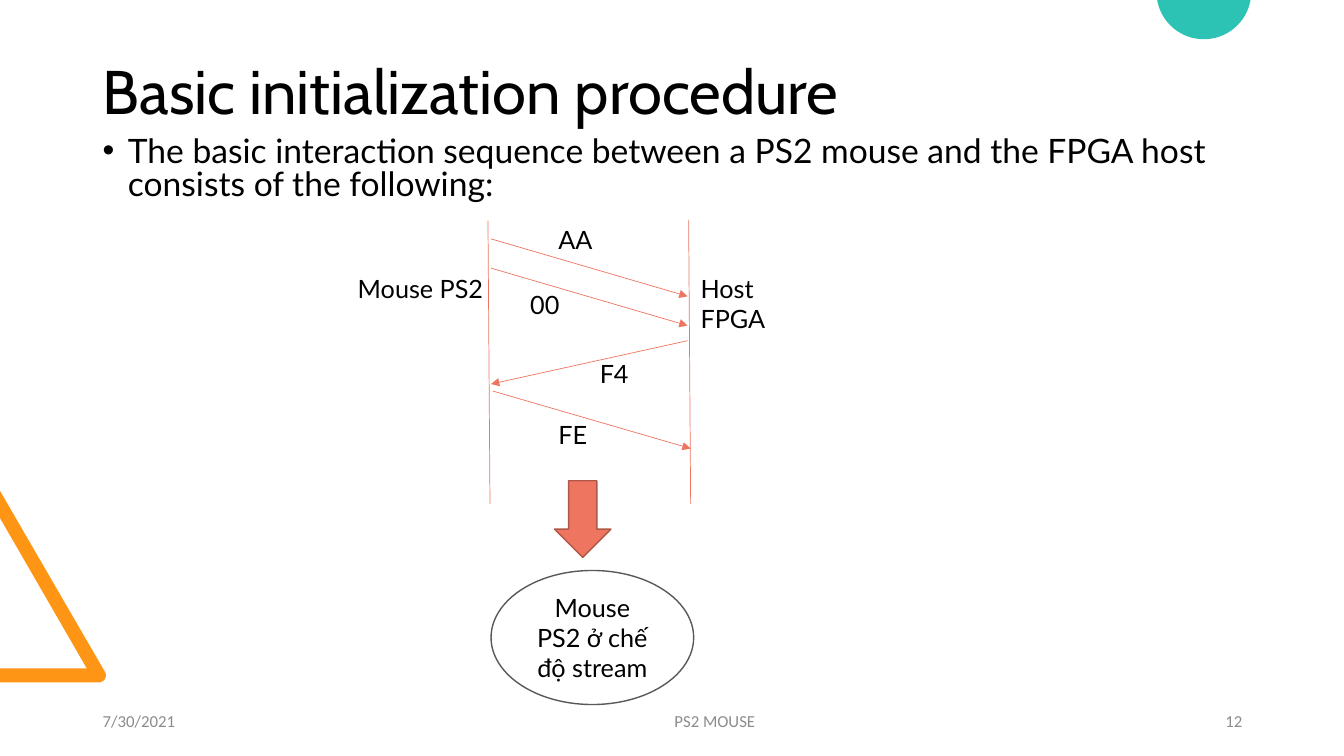
from math import cos, radians, sin

from lxml.etree import SubElement
from pptx import Presentation
from pptx.dml.color import RGBColor
from pptx.enum.shapes import MSO_CONNECTOR, MSO_SHAPE
from pptx.enum.text import MSO_ANCHOR, PP_ALIGN
from pptx.oxml.ns import qn
from pptx.util import Inches, Pt

CORAL, ORANGE, TEAL = "EE7661", "FF9514", "2CC3B4"
BLACK, GRAY, WHITE = "000000", "8C8C8C", "FFFFFF"

TITLE = "Basic initialization procedure"
INTRO = ("The basic interaction sequence between a PS2 mouse and the FPGA host "
         "consists of the following:")
RESULT = "Mouse PS2 ở chế độ stream"

# text, (left, top, width, height), alignment
FOOTERS = [
    ("7/30/2021", (0.92, 6.95, 3, 0.4), PP_ALIGN.LEFT),
    ("PS2 MOUSE", (4.84, 6.95, 4.5, 0.4), PP_ALIGN.CENTER),
    ("12", (9.42, 6.95, 3, 0.4), PP_ALIGN.RIGHT),
]
# text, left, top, width
LABELS = [
    ("Mouse PS2", 3.45, 2.66, 2.57),
    ("Host FPGA", 6.85, 2.66, 1.38),
    ("AA", 5.44, 2.18, 1.16),
    ("00", 5.16, 2.82, 0.59),
    ("F4", 5.85, 3.51, 2.41),
    ("FE", 5.44, 4.11, 2.2),
]
# start, end
LIFELINES = [((4.84, 2.19), (4.86, 5)), ((6.83, 2.18), (6.85, 5))]
MESSAGES = [
    ((4.87, 2.37), (6.82, 2.94)),
    ((4.87, 2.66), (6.82, 3.23)),
    ((6.82, 3.38), (4.87, 3.81)),
    ((4.89, 3.88), (6.85, 4.45)),
]


def rgb(color):
    return RGBColor.from_string(color)


def write(sp, text, size=18, font="Lato", color=BLACK, align=PP_ALIGN.LEFT,
          anchor=MSO_ANCHOR.TOP, spacing=None):
    tf = sp.text_frame
    tf.word_wrap = True
    tf.vertical_anchor = anchor
    p = tf.paragraphs[0]
    p.alignment = align
    if spacing:
        p.line_spacing = spacing
    r = p.add_run()
    r.text = text
    r.font.size = Pt(size)
    r.font.name = font
    r.font.color.rgb = rgb(color)
    return p


def add_text(s, box, text, **style):
    return write(s.shapes.add_textbox(*map(Inches, box)), text, **style)


def add_bullet(p, indent):
    p_pr = p._p.get_or_add_pPr()
    p_pr.set("marL", str(Inches(indent)))
    p_pr.set("indent", str(-Inches(indent)))
    SubElement(p_pr, qn("a:buFont"), typeface="Arial")
    SubElement(p_pr, qn("a:buChar"), char="•")


def paint(sp, fill, line=None):
    sp.shadow.inherit = False
    sp.fill.solid()
    sp.fill.fore_color.rgb = rgb(fill)
    if line:
        sp.line.color.rgb = rgb(line)
        sp.line.width = Pt(1)
    else:
        sp.line.fill.background()


def add_shape(s, kind, box, fill, line):
    sp = s.shapes.add_shape(kind, *map(Inches, box))
    paint(sp, fill, line)
    return sp


def add_outline(s, points, fill):
    start, *rest = [(Inches(x), Inches(y)) for x, y in points]
    builder = s.shapes.build_freeform(*start, scale=1.0)
    builder.add_line_segments(rest, close=True)
    paint(builder.convert_to_shape(), fill)


def arc(x, y, radius, first, last, step=5):
    """Points on a circle, with angles in degrees clockwise from the right."""
    return [(x + radius * cos(radians(a)), y + radius * sin(radians(a)))
            for a in range(first, last + 1, step)]


def add_line(s, start, end, arrow=False):
    line = s.shapes.add_connector(MSO_CONNECTOR.STRAIGHT,
                                  *map(Inches, start + end))
    line.line.color.rgb = rgb(CORAL)
    line.line.width = Pt(0.5)
    if arrow:
        SubElement(line.line._get_or_add_ln(), qn("a:tailEnd"), type="triangle")
    SubElement(line._element.spPr, qn("a:effectLst"))


def main():
    prs = Presentation()
    prs.slide_width, prs.slide_height = Inches(13.33), Inches(7.5)
    s = prs.slides.add_slide(prs.slide_layouts[6])

    corner = arc(0.98, 6.7, 0.07, -30, 90)
    add_outline(s, [(0, 6.77), (0, 6.63), (0.86, 6.63), (0, 5.14), (0, 4.87)]
                + corner, ORANGE)
    add_outline(s, arc(11.94, -0.08, 0.47, 10, 170), TEAL)

    add_text(s, (0.92, 0.21, 11.5, 1.45), TITLE, size=44, font="Cabin",
             anchor=MSO_ANCHOR.MIDDLE, spacing=0.9)
    for text, box, align in FOOTERS:
        add_text(s, box, text, size=12, font="Calibri", color=GRAY,
                 align=align, anchor=MSO_ANCHOR.MIDDLE)
    p = add_text(s, (0.92, 1.32, 11.71, 0.78), INTRO, size=24, spacing=0.8)
    p.space_before = Pt(10)
    add_bullet(p, 0.25)

    for start, end in LIFELINES:
        add_line(s, start, end)
    for start, end in MESSAGES:
        add_line(s, start, end, arrow=True)
    for text, left, top, width in LABELS:
        add_text(s, (left, top, width, 0.4), text)

    add_shape(s, MSO_SHAPE.DOWN_ARROW, (5.5, 4.77, 0.56, 0.76), CORAL, "B05748")
    result = add_shape(s, MSO_SHAPE.OVAL, (4.87, 5.66, 2.01, 1.33), WHITE, "595959")
    write(result, RESULT, align=PP_ALIGN.CENTER, anchor=MSO_ANCHOR.MIDDLE)

    prs.save("out.pptx")


if __name__ == "__main__":
    main()
